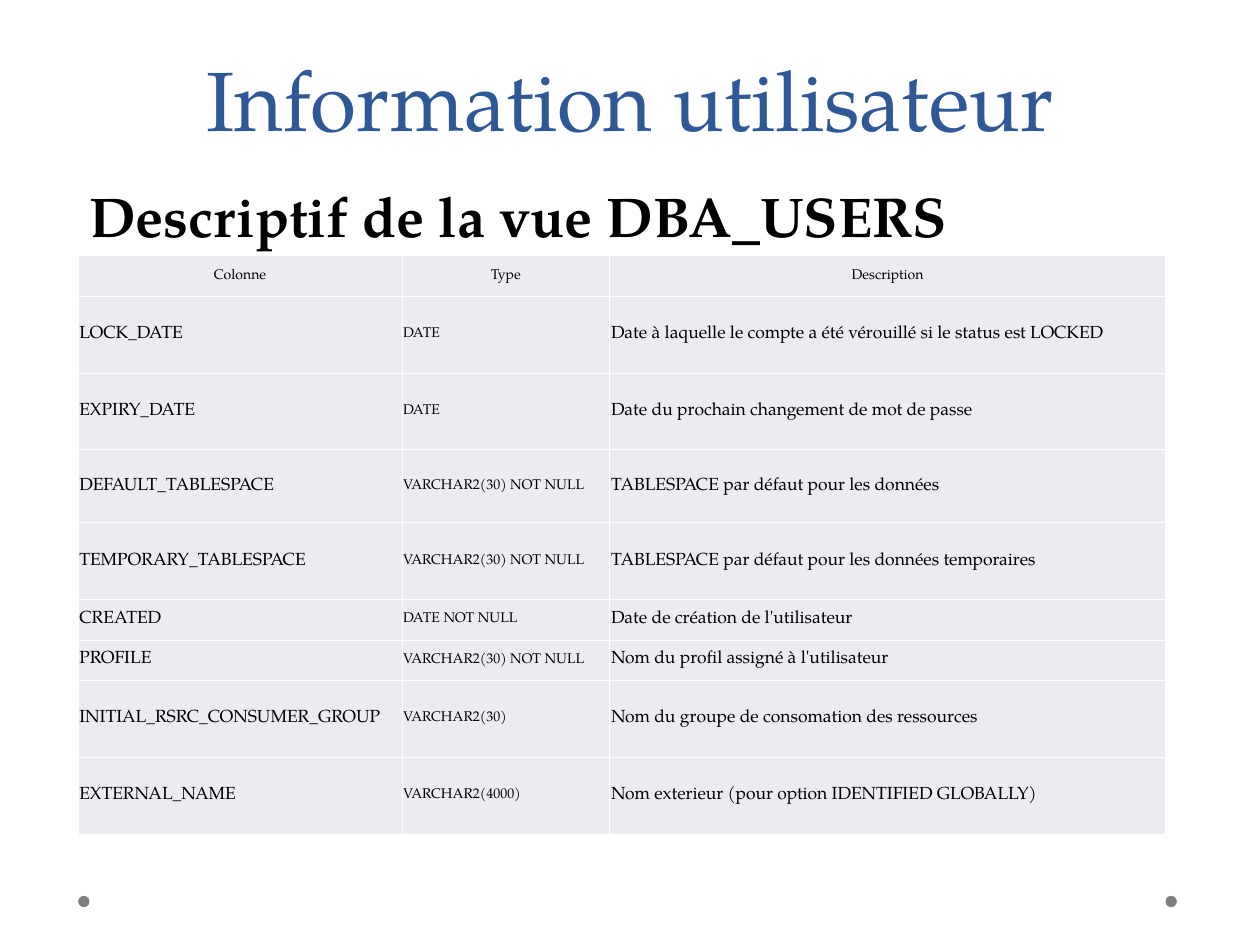
from dataclasses import dataclass

from lxml import etree
from pptx import Presentation
from pptx.dml.color import RGBColor
from pptx.enum.shapes import MSO_SHAPE
from pptx.enum.text import MSO_ANCHOR, MSO_AUTO_SIZE, PP_ALIGN
from pptx.oxml.ns import qn
from pptx.util import Inches, Pt

FONT = "TeX Gyre Pagella"
BLUE = RGBColor(0x2F, 0x58, 0x97)
BLACK = RGBColor(0, 0, 0)
WHITE = RGBColor(0xFF, 0xFF, 0xFF)
GREY = RGBColor(0x7F, 0x7F, 0x7F)
CELL_FILL = RGBColor(0xEA, 0xEC, 0xF2)
OVAL = MSO_SHAPE.OVAL
BOTTOM, MIDDLE, TOP = MSO_ANCHOR.BOTTOM, MSO_ANCHOR.MIDDLE, MSO_ANCHOR.TOP
LEFT, CENTER = PP_ALIGN.LEFT, PP_ALIGN.CENTER
FIT_SHAPE = MSO_AUTO_SIZE.SHAPE_TO_FIT_TEXT
NO_FIT = MSO_AUTO_SIZE.NONE


@dataclass
class Style:
    size: float
    color: RGBColor = BLACK
    bold: bool = False
    align: PP_ALIGN = LEFT


@dataclass
class Column:
    name: str
    type: str
    description: str
    height: float


HEADER = Style(8, align=CENTER)
NAME = Style(10)
TYPE = Style(8)
COL_WIDTHS = (2.57, 1.65, 4.41)
ROWS = (
    Column("Colonne", "Type", "Description", 0.32),
    Column("LOCK_DATE", "DATE",
           "Date à laquelle le compte a été vérouillé si le status est LOCKED", 0.61),
    Column("EXPIRY_DATE", "DATE", "Date du prochain changement de mot de passe", 0.61),
    Column("DEFAULT_TABLESPACE", "VARCHAR2(30) NOT NULL",
           "TABLESPACE par défaut pour les données", 0.58),
    Column("TEMPORARY_TABLESPACE", "VARCHAR2(30) NOT NULL",
           "TABLESPACE par défaut pour les données temporaires", 0.61),
    Column("CREATED", "DATE NOT NULL", "Date de création de l'utilisateur", 0.32),
    Column("PROFILE", "VARCHAR2(30) NOT NULL", "Nom du profil assigné à l'utilisateur", 0.32),
    Column("INITIAL_RSRC_CONSUMER_GROUP", "VARCHAR2(30)",
           "Nom du groupe de consomation des ressources", 0.61),
    Column("EXTERNAL_NAME", "VARCHAR2(4000)",
           "Nom exterieur (pour option IDENTIFIED GLOBALLY)", 0.61),
)


def write(tf, text: str, style: Style):
    p = tf.paragraphs[0]
    p.alignment = style.align
    r = p.add_run()
    r.text = text
    r.font.name = FONT
    r.font.size = Pt(style.size)
    r.font.bold = style.bold
    r.font.color.rgb = style.color
    return p


def add_text(s, box: tuple, text: str, style: Style, anchor: MSO_ANCHOR, wrap: bool):
    tf = s.shapes.add_textbox(*map(Inches, box)).text_frame
    tf.word_wrap = wrap
    tf.auto_size = NO_FIT if wrap else FIT_SHAPE
    tf.vertical_anchor = anchor
    return write(tf, text, style)


def add_dot(s, left: float) -> None:
    sp = s.shapes.add_shape(OVAL, Inches(left), Inches(7.11), Inches(0.09), Inches(0.09))
    sp.shadow.inherit = False
    sp.fill.solid()
    sp.fill.fore_color.rgb = GREY
    sp.line.fill.background()


def add_borders(cell) -> None:
    tc_pr = cell._tc.get_or_add_tcPr()
    for side in ("a:lnL", "a:lnR", "a:lnT", "a:lnB"):
        ln = etree.SubElement(tc_pr, qn(side), w=str(Pt(0.45)))
        fill = etree.SubElement(ln, qn("a:solidFill"))
        etree.SubElement(fill, qn("a:srgbClr"), val=str(WHITE))


def fill_cell(cell, text: str, style: Style) -> None:
    cell.margin_left = cell.margin_right = Inches(0.01)
    cell.margin_top = cell.margin_bottom = Inches(0.05)
    cell.vertical_anchor = MIDDLE
    add_borders(cell)
    cell.fill.solid()
    cell.fill.fore_color.rgb = CELL_FILL
    write(cell.text_frame, text, style)


def add_columns_table(s) -> None:
    table = s.shapes.add_table(len(ROWS), len(COL_WIDTHS), Inches(0.62), Inches(2.03),
                               Inches(sum(COL_WIDTHS)),
                               Inches(sum(row.height for row in ROWS))).table
    table.first_row = table.horz_banding = False
    for col, width in zip(table.columns, COL_WIDTHS):
        col.width = Inches(width)
    for i, row in enumerate(ROWS):
        table.rows[i].height = Inches(row.height)
        styles = (NAME, TYPE, NAME) if i else (HEADER,) * 3
        texts = (row.name, row.type, row.description)
        for j, (text, style) in enumerate(zip(texts, styles)):
            fill_cell(table.cell(i, j), text, style)


def main() -> None:
    prs = Presentation()
    prs.slide_width, prs.slide_height = Inches(10), Inches(7.5)
    s = prs.slides.add_slide(prs.slide_layouts[6])
    for left in (9.25, 0.62):
        add_dot(s, left)
    title = add_text(s, (0.5, 0, 9, 1.23), "Information utilisateur",
                     Style(48, BLUE, align=CENTER), BOTTOM, True)
    title.line_spacing = Pt(58)
    add_text(s, (0.61, 1.39, 7.02, 0.64), "Descriptif de la vue DBA_USERS",
             Style(32, bold=True), TOP, False)
    add_columns_table(s)
    prs.save("out.pptx")


if __name__ == "__main__":
    main()
